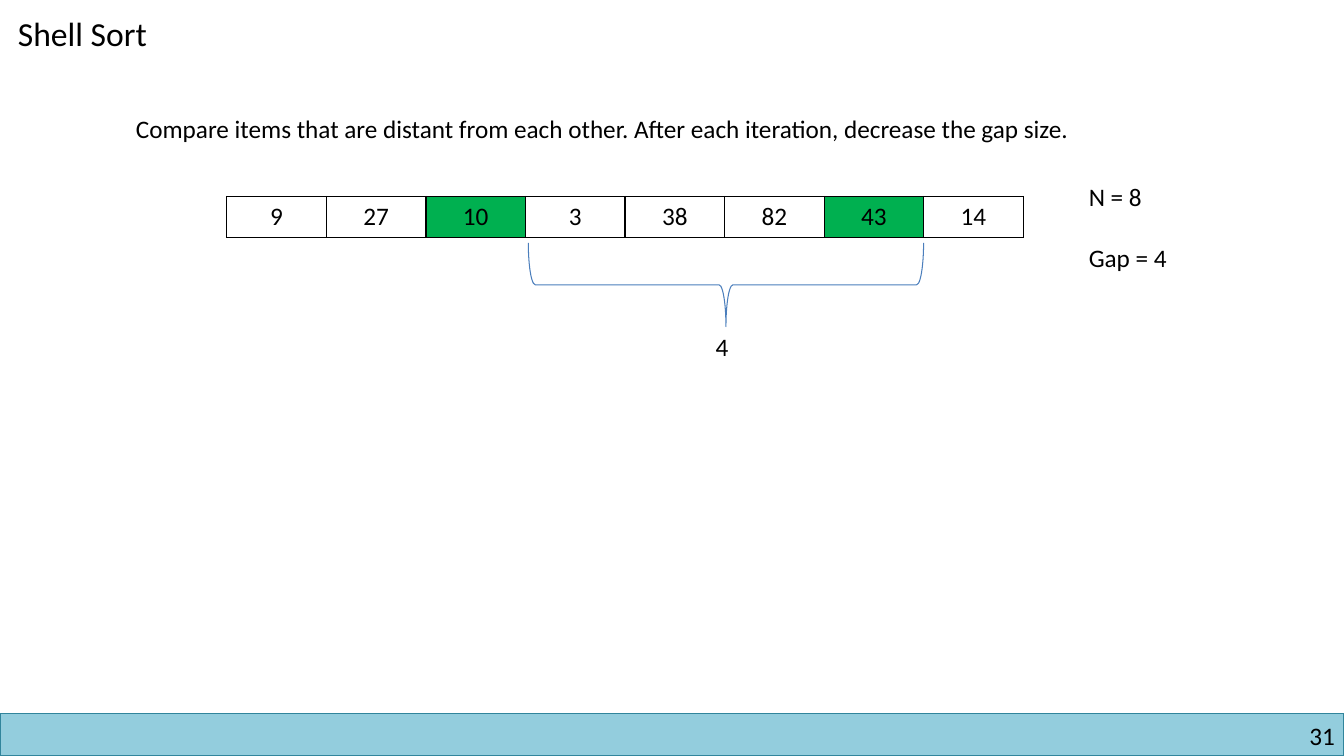
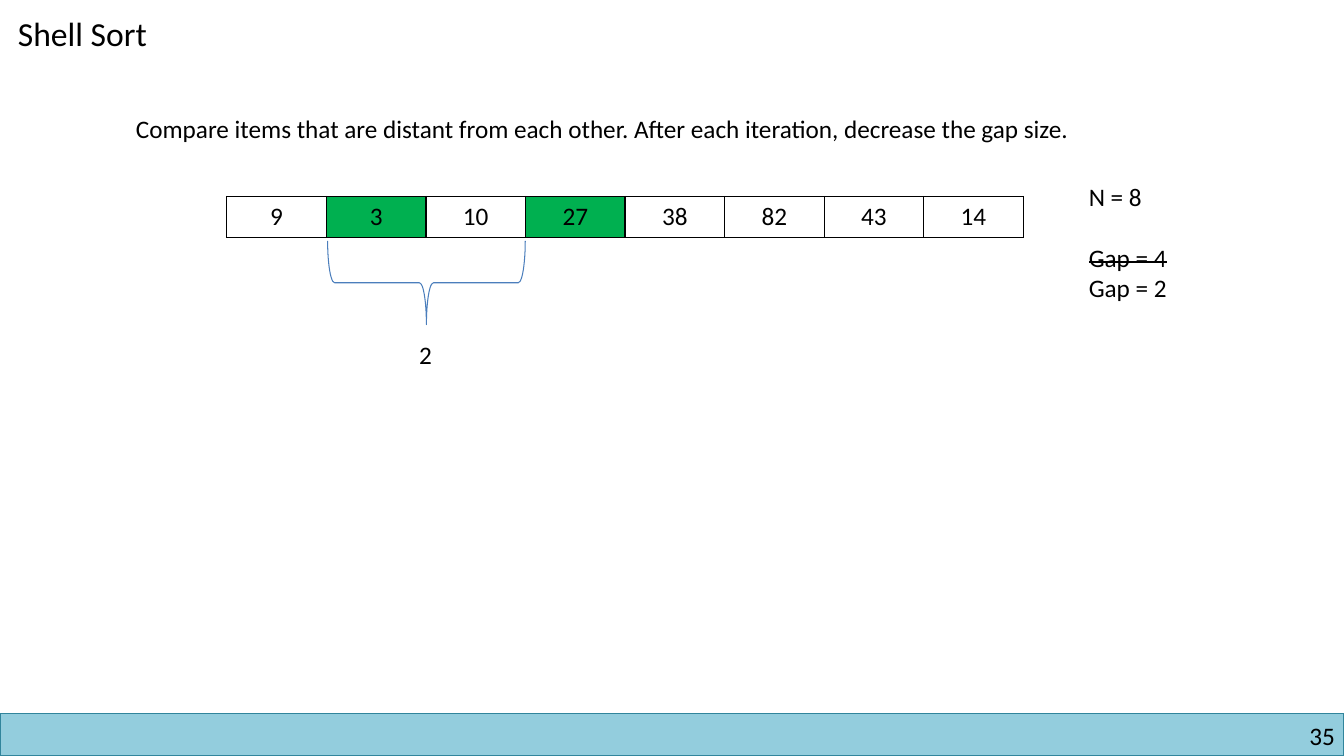
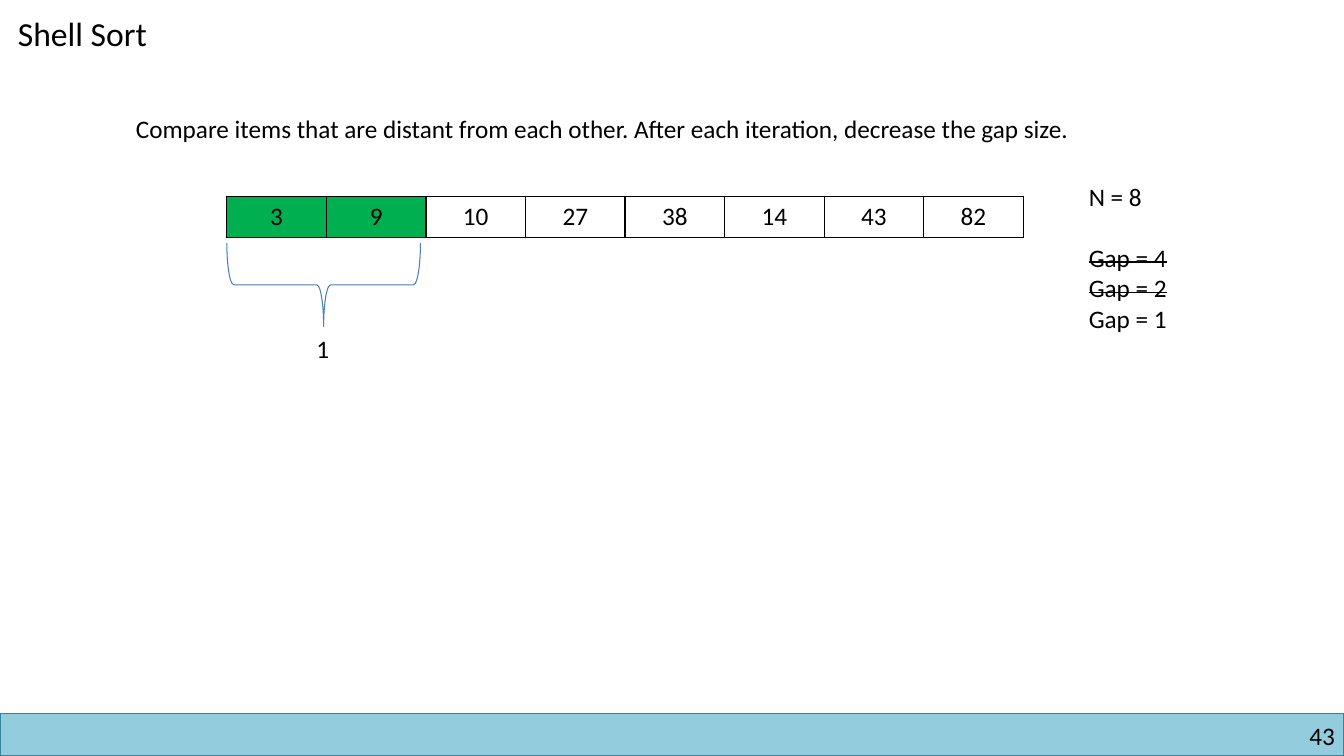
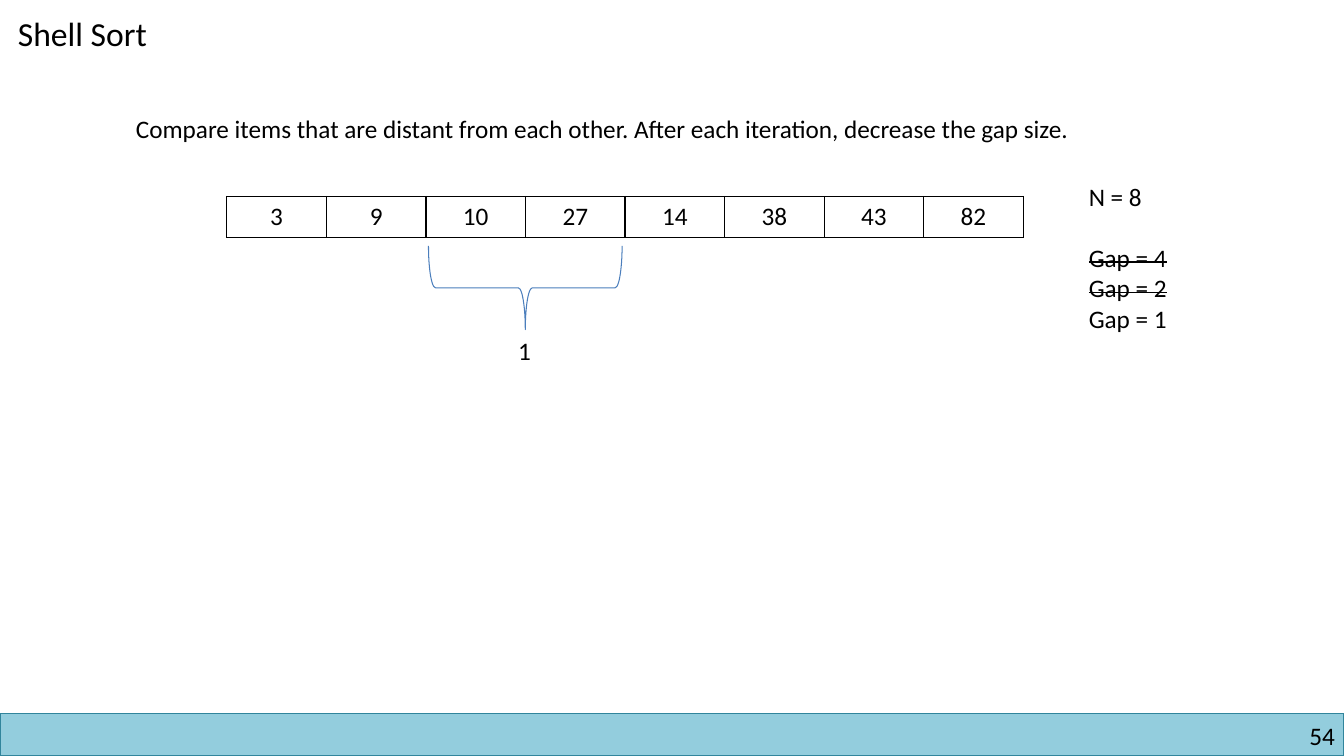
import pptx
import pptx.dml.color
import pptx.enum.shapes
import pptx.enum.text
import pptx.oxml.ns
import pptx.util
from lxml import etree

Inches = pptx.util.Inches
Pt = pptx.util.Pt
ALIGN = pptx.enum.text.PP_ALIGN
SHAPES = pptx.enum.shapes.MSO_SHAPE

COLORS = {
    "text": "000000",
    "border": "000000",
    "cell": "FFFFFF",
    "compared": "00B050",
    "band": "93CDDD",
    "band_line": "31859C",
    "brace": "4B7EBC",
}
FONT = "Calibri"
TITLE = "Shell Sort"
IDEA = "Compare items that are distant from each other. After each iteration, decrease the gap size."
GAPS = [4, 2, 1]
LINE_HEIGHT = 22

STEPS = [
    dict(number=31, values=[9, 27, 10, 3, 38, 82, 43, 14], compared=[2, 6], gap=4,
         brace=(5.24, 2.41, 3.92), label=(7.0, 3.24)),
    dict(number=35, values=[9, 3, 10, 27, 38, 82, 43, 14], compared=[1, 3], gap=2,
         brace=(3.25, 2.39, 1.96), label=(4.06, 3.32)),
    dict(number=43, values=[3, 9, 10, 27, 38, 14, 43, 82], compared=[0, 1], gap=1,
         brace=(2.25, 2.41, 1.92), label=(3.04, 3.26)),
    dict(number=54, values=[3, 9, 10, 27, 14, 38, 43, 82], compared=[], gap=1,
         brace=(4.25, 2.44, 1.92), label=(5.04, 3.28)),
]


def rgb(name):
    return pptx.dml.color.RGBColor.from_string(COLORS[name])


def write(para, text, size=18, align=ALIGN.LEFT, strike=False, before=0):
    para.alignment = align
    if before:
        para.space_before = Pt(before)
    span = para.add_run()
    span.text = str(text)
    span.font.name = FONT
    span.font.size = Pt(size)
    span.font.color.rgb = rgb("text")
    if strike:
        span._r.get_or_add_rPr().set("strike", "sngStrike")


def add_box(page, left, top, width, height):
    box = page.shapes.add_textbox(Inches(left), Inches(top), Inches(width), Inches(height))
    box.text_frame.word_wrap = True
    return box.text_frame


def add_label(page, left, top, width, height, text, **form):
    frame = add_box(page, left, top, width, height)
    write(frame.paragraphs[0], text, **form)
    return frame


def add_footer(page, left, top, width, height, number):
    band = page.shapes.add_shape(SHAPES.RECTANGLE, Inches(left), Inches(top),
                                 Inches(width), Inches(height))
    band.shadow.inherit = False
    band.fill.solid()
    band.fill.fore_color.rgb = rgb("band")
    band.line.color.rgb = rgb("band_line")
    band.line.width = Pt(1)
    frame = add_label(page, left + width - 3.16, top + 0.07, 3.07, 0.3, number,
                      align=ALIGN.RIGHT)
    frame.margin_left = frame.margin_right = frame.margin_top = frame.margin_bottom = 0


def add_borders(cell):
    properties = cell._tc.get_or_add_tcPr()
    qn = pptx.oxml.ns.qn
    for side in ("a:lnL", "a:lnR", "a:lnT", "a:lnB"):
        line = etree.SubElement(properties, qn(side), w=str(Pt(1)))
        fill = etree.SubElement(line, qn("a:solidFill"))
        etree.SubElement(fill, qn("a:srgbClr"), val=COLORS["border"])


def add_array(page, left, top, width, height, values, compared):
    table = page.shapes.add_table(1, len(values), Inches(left), Inches(top),
                                  Inches(width), Inches(height)).table
    table.first_row = False
    table.horz_banding = False
    for index, value in enumerate(values):
        cell = table.cell(0, index)
        add_borders(cell)
        cell.fill.solid()
        cell.fill.fore_color.rgb = rgb("compared" if index in compared else "cell")
        write(cell.text_frame.paragraphs[0], value, align=ALIGN.CENTER)


def add_gap_list(page, left, top, width, height, count, gap):
    frame = add_label(page, left, top, width, height, f"N = {count}")
    for size in GAPS[:GAPS.index(gap) + 1]:
        write(frame.add_paragraph(), f"Gap = {size}", strike=size != gap,
              before=LINE_HEIGHT if size == GAPS[0] else 0)


def add_brace(page, left, top, width, height):
    middle_x, middle_y = left + width / 2, top + height / 2
    brace = page.shapes.add_shape(SHAPES.LEFT_BRACE, Inches(middle_x - height / 2),
                                  Inches(middle_y - width / 2), Inches(height), Inches(width))
    brace.rotation = 270
    brace.shadow.inherit = False
    brace.fill.background()
    brace.line.color.rgb = rgb("brace")
    brace.line.width = Pt(0.75)


def add_step(deck, number, values, compared, gap, brace, label):
    page = deck.slides.add_slide(deck.slide_layouts[6])
    add_footer(page, 0, 7.08, 13.33, 0.42, number)
    add_label(page, 0.08, 0.08, 1.66, 0.5, TITLE, size=24)
    add_label(page, 1.25, 1.08, 10.36, 0.4, IDEA)
    add_array(page, 2.25, 1.95, 7.9, 0.41, values, compared)
    add_gap_list(page, 10.7, 1.75, 1.11, 1.01 + 0.3 * GAPS.index(gap), len(values), gap)
    add_brace(page, *brace, 0.83)
    add_label(page, *label, 0.34, 0.4, gap)


def main():
    deck = pptx.Presentation()
    deck.slide_width = Inches(13.33)
    deck.slide_height = Inches(7.5)
    for step in STEPS:
        add_step(deck, **step)
    deck.save("out.pptx")


if __name__ == "__main__":
    main()
